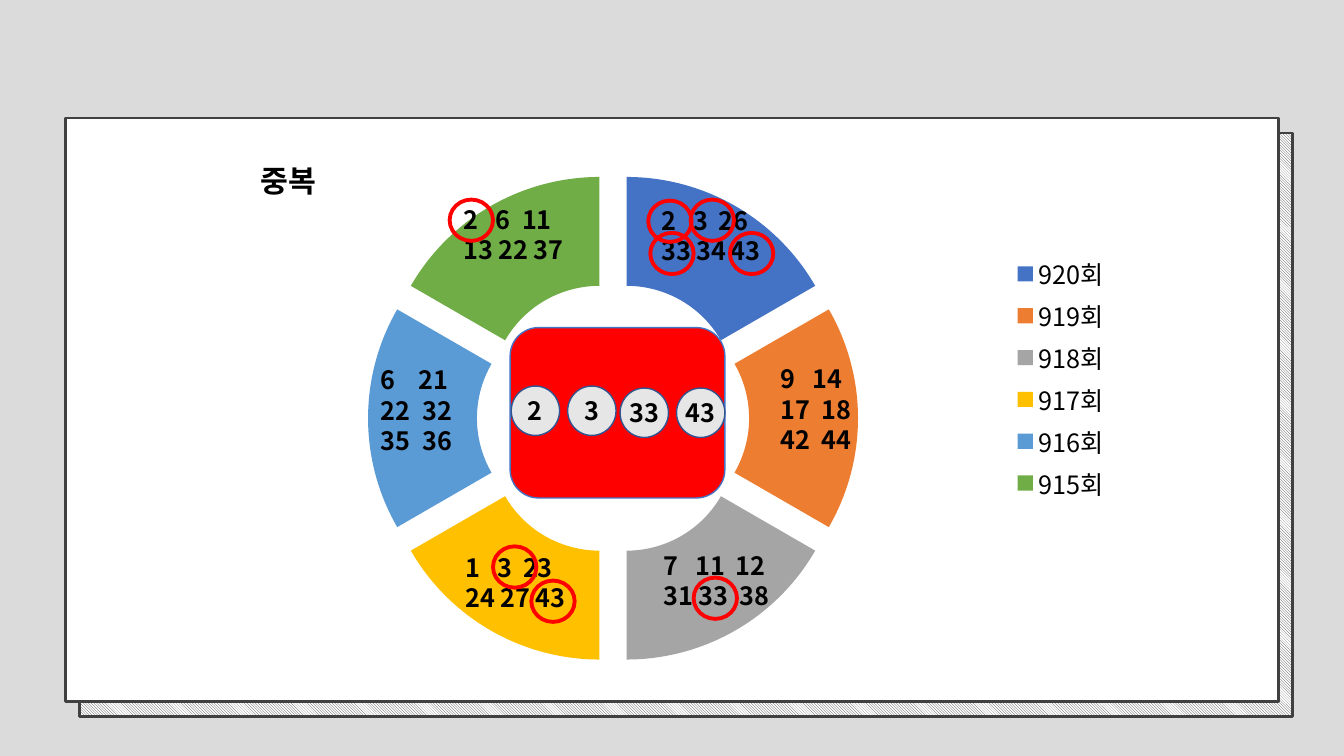
"""Build a slide comparing the numbers drawn in six rounds on a ring chart."""
import pptx
import pptx.chart.data
import pptx.dml.color
import pptx.enum.chart
import pptx.enum.dml
import pptx.enum.shapes
import pptx.enum.text
import pptx.oxml
import pptx.oxml.ns
import pptx.util
from pptx.util import Inches, Pt

FONT = "Noto Sans CJK KR"
TITLE = "중복"
ROUNDS = [("920회", "4472C4"), ("919회", "ED7D31"), ("918회", "A5A5A5"),
          ("917회", "FFC000"), ("916회", "5B9BD5"), ("915회", "70AD47")]
SHARE = 17
# left, top, then rows of numbers with the tab stops between them
DRAWS = [
    (6.46, 1.99, [("2 3 26", (0.32, 0.57)), ("33 34 43", (0.35, 0.69))]),
    (7.64, 3.56, [("9 14", (0.32,)), ("17 18", (0.41,)), ("42 44", (0.41,))]),
    (6.48, 5.41, [("7 11 12", (0.32, 0.72)), ("31 33 38", (0.35, 0.76))]),
    (4.52, 5.43, [("1 3 23", (0.32, 0.57)), ("24 27 43", (0.35, 0.69))]),
    (3.68, 3.57, [("6 21", (0.37,)), ("22 32", (0.41,)), ("35 36", (0.41,))]),
    (4.5, 1.98, [("2 6 11", (0.32, 0.58)), ("13 22 37", (0.35, 0.69))]),
]
RINGS = [(6.85, 1.98), (4.89, 5.42), (6.45, 2.31), (6.88, 5.73),
         (5.27, 5.76), (6.43, 1.99), (4.46, 1.98), (7.24, 2.31)]
REPEATED = [("2", 5.07, 3.83), ("3", 5.63, 3.83), ("33", 6.15, 3.85), ("43", 6.71, 3.85)]
CHART_BOX = (2.22, 0.79, 8.89, 5.93)
RING_CENTER, RING_DIAMETER = (6.08, 4.15), 4.86
TITLE_CORNER = (2.53, 1.47)


def color(value):
    return pptx.dml.color.RGBColor.from_string(value)


def style(font, size=18, bold=True):
    font.name, font.size, font.bold = FONT, Pt(size), bold
    font.color.rgb = color("000000")


def add_shape(slide, kind, box, fill, line, width):
    shape = slide.shapes.add_shape(kind, *map(Inches, box))
    shape.shadow.inherit = False
    if fill:
        shape.fill.solid()
        shape.fill.fore_color.rgb = color(fill)
    else:
        shape.fill.background()
    shape.line.color.rgb = color(line)
    shape.line.width = Pt(width)
    return shape


def chart_element(xml):
    return pptx.oxml.parse_xml(xml.replace(">", f' {pptx.oxml.ns.nsdecls("c", "a")}>', 1)
                               if not xml.endswith("/>") or xml.count("<") > 1
                               else xml[:-2] + f' {pptx.oxml.ns.nsdecls("c", "a")}/>')


def layout(left, top, width=None, height=None):
    chart_left, chart_top, chart_width, chart_height = CHART_BOX
    values = {"x": (left - chart_left) / chart_width, "y": (top - chart_top) / chart_height}
    target = ""
    if width:
        values.update(w=width / chart_width, h=height / chart_height)
        target = '<c:layoutTarget val="inner"/>'
    modes = '<c:xMode val="edge"/><c:yMode val="edge"/>'
    parts = "".join(f'<c:{name} val="{value:.4f}"/>' for name, value in values.items())
    return chart_element(f"<c:layout><c:manualLayout>{target}{modes}{parts}"
                         "</c:manualLayout></c:layout>")


def replace_layout(parent, new_layout, position):
    for old_layout in parent.findall(pptx.oxml.ns.qn("c:layout")):
        parent.remove(old_layout)
    parent.insert(position, new_layout)


def add_ring_chart(slide):
    data = pptx.chart.data.CategoryChartData()
    data.categories = [name for name, _ in ROUNDS]
    data.add_series("Series 1", [SHARE] * len(ROUNDS))
    chart = slide.shapes.add_chart(pptx.enum.chart.XL_CHART_TYPE.DOUGHNUT,
                                   *map(Inches, CHART_BOX), data).chart
    style(chart.font, bold=False)
    chart.has_title = True
    chart.chart_title.text_frame.text = TITLE
    title_run = chart.chart_title.text_frame.paragraphs[0].runs[0]
    style(title_run.font, 21.6)
    for properties in (title_run.font._element, chart.font._element):
        latin = properties.find(pptx.oxml.ns.qn("a:latin"))
        latin.addnext(chart_element(f'<a:ea typeface="{FONT}"/>'))
    chart.has_legend = True
    chart.legend.position = pptx.enum.chart.XL_LEGEND_POSITION.RIGHT
    chart.legend.include_in_layout = False
    style(chart.legend.font, bold=False)
    series = chart.plots[0].series[0]
    for index, (_, fill) in enumerate(ROUNDS):
        point = series.points[index].format
        point.fill.solid()
        point.fill.fore_color.rgb = color(fill)
        point.line.fill.background()
    first_point = series._element.find(pptx.oxml.ns.qn("c:dPt"))
    first_point.addprevious(chart_element('<c:explosion val="25"/>'))
    replace_layout(chart.chart_title._element, layout(*TITLE_CORNER), 1)
    plot_area = chart._chartSpace.chart.plotArea
    corner = [middle - RING_DIAMETER / 2 for middle in RING_CENTER]
    replace_layout(plot_area, layout(*corner, RING_DIAMETER, RING_DIAMETER), 0)


def add_draw(slide, left, top, rows):
    box = slide.shapes.add_textbox(*map(Inches, (left, top, 1.48, 0.1 + 0.3 * len(rows))))
    frame = box.text_frame
    frame.word_wrap = True
    frame.text = "\n".join(numbers.replace(" ", "\t") for numbers, _ in rows)
    for paragraph, (_, stops) in zip(frame.paragraphs, rows):
        tabs = "".join(f'<a:tab pos="{Inches(stop)}" algn="l"/>' for stop in stops)
        paragraph._p.get_or_add_pPr().append(chart_element(f"<a:tabLst>{tabs}</a:tabLst>"))
        for run in paragraph.runs:
            style(run.font)


def add_ball(slide, number, left, top):
    ball = add_shape(slide, pptx.enum.shapes.MSO_SHAPE.OVAL, (left, top, 0.48, 0.49),
                     "E7E6E6", "325491", 1)
    frame = ball.text_frame
    frame.text = number
    frame.word_wrap = False
    frame.margin_left = frame.margin_right = frame.margin_top = frame.margin_bottom = 0
    frame.vertical_anchor = pptx.enum.text.MSO_ANCHOR.MIDDLE
    frame.paragraphs[0].alignment = pptx.enum.text.PP_ALIGN.CENTER
    style(frame.paragraphs[0].runs[0].font)


def main():
    presentation = pptx.Presentation()
    presentation.slide_width, presentation.slide_height = Inches(13.33), Inches(7.5)
    slide = presentation.slides.add_slide(presentation.slide_layouts[6])
    slide.background.fill.solid()
    slide.background.fill.fore_color.rgb = color("DBDBDB")
    kinds = pptx.enum.shapes.MSO_SHAPE
    back_panel, _ = [add_shape(slide, kinds.RECTANGLE, (left, top, 12.03, 5.79),
                               "FFFFFF", "404040", 2)
                     for left, top in ((0.79, 1.32), (0.65, 1.17))]
    back_panel.fill.patterned()
    back_panel.fill.pattern = pptx.enum.dml.MSO_PATTERN.DARK_DOWNWARD_DIAGONAL
    back_panel.fill.fore_color.rgb = color("404040")
    back_panel.fill.back_color.rgb = color("FFFFFF")
    add_ring_chart(slide)
    for left, top, rows in DRAWS:
        add_draw(slide, left, top, rows)
    add_shape(slide, kinds.ROUNDED_RECTANGLE, (5.06, 3.25, 2.13, 1.69), "FF0000", "4472C4", 1)
    for left, top in RINGS:
        add_shape(slide, kinds.OVAL, (left, top, 0.43, 0.41), None, "FF0000", 2.75)
    for number, left, top in REPEATED:
        add_ball(slide, number, left, top)
    presentation.save("out.pptx")


if __name__ == "__main__":
    main()
